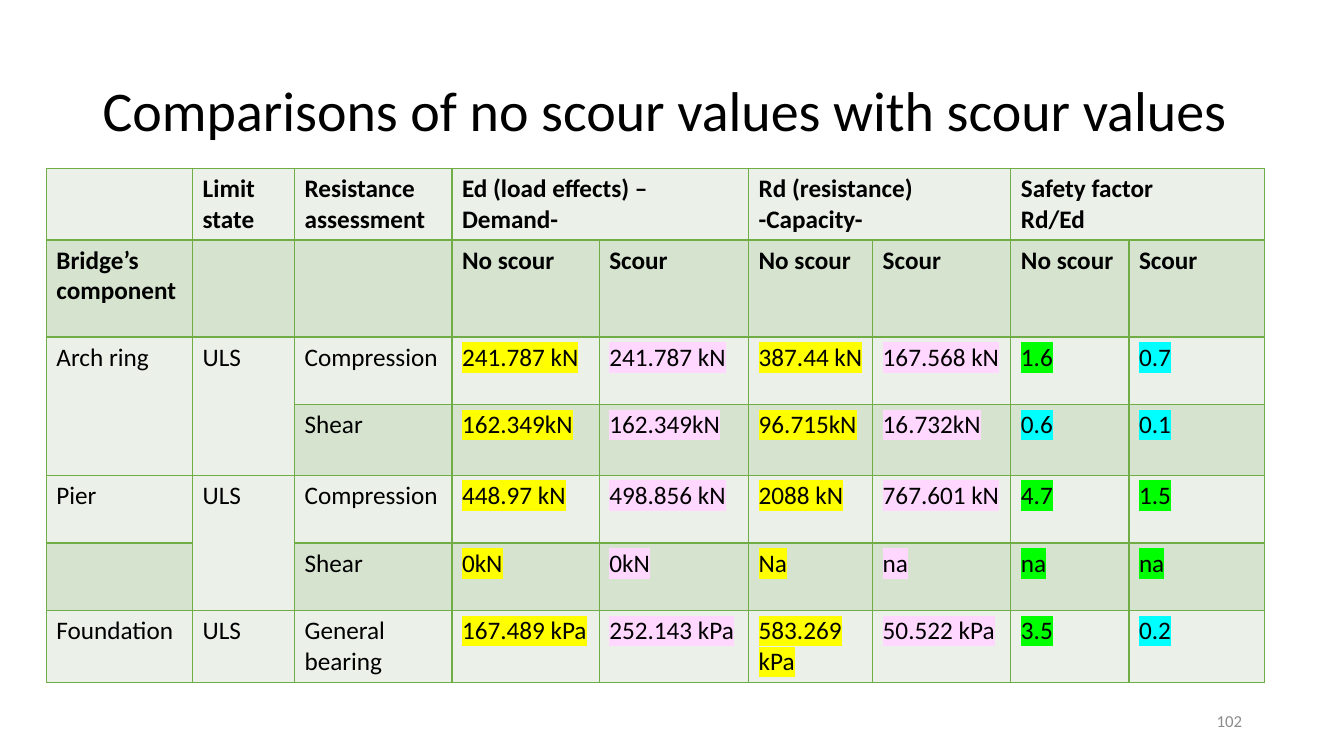
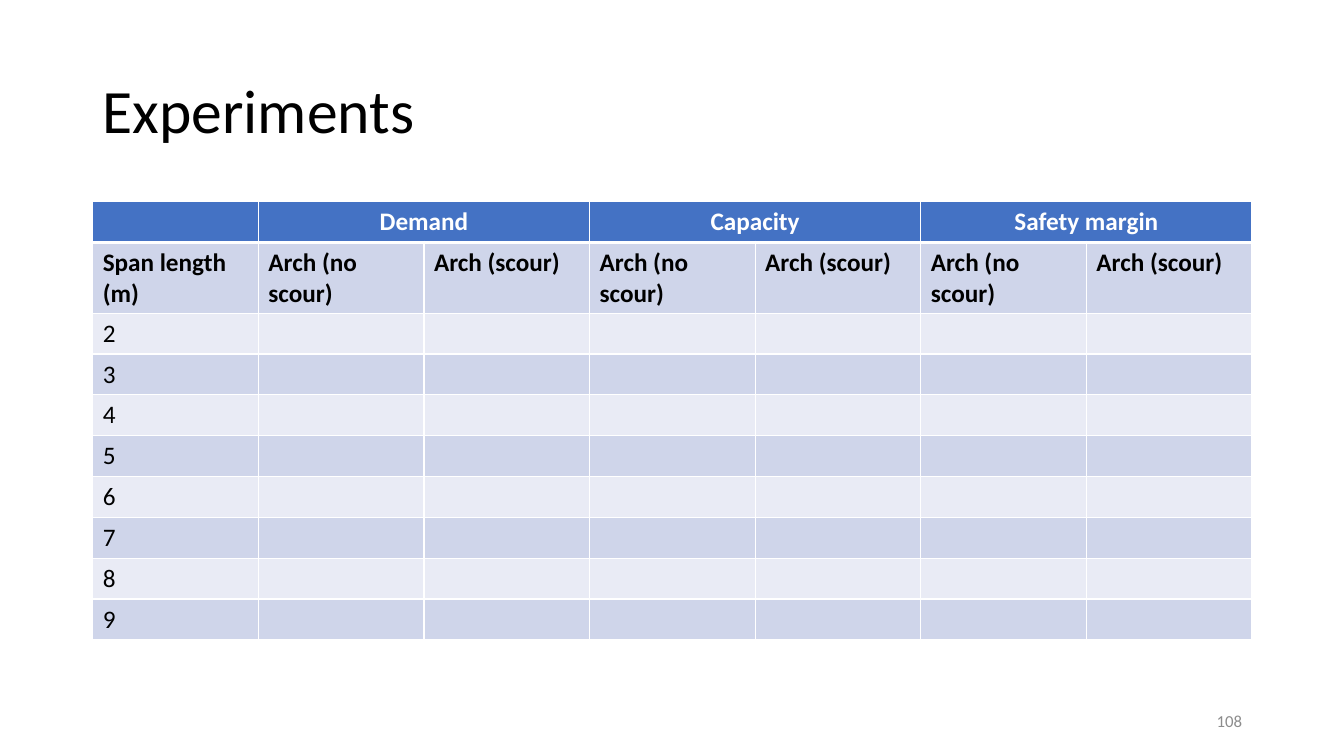
"""Build two slides that tabulate bridge demand, capacity and safety."""
import dataclasses
import pptx
import pptx.dml.color
import pptx.enum.text
import pptx.oxml
import pptx.oxml.ns
import pptx.util

ALIGN = pptx.enum.text.PP_ALIGN
ANCHOR = pptx.enum.text.MSO_ANCHOR


@dataclasses.dataclass(frozen=True)
class Theme:
    font: str = "Calibri"
    ink: str = "000000"
    white: str = "FFFFFF"
    gray: str = "8C8C8C"
    green: str = "70AD47"
    leaf: tuple = ("EBF1E9", "D5E3CF")
    blue: str = "4472C4"
    sky: tuple = ("E9EBF5", "CFD5EA")
    yellow: str = "FFFF00"
    pink: str = "FFD7FF"
    safe: str = "00FF00"
    fail: str = "00FFFF"
    head: int = 44
    small: int = 40
    body: int = 18
    foot: int = 12
    thin: int = 1
    thick: int = 3


THEME = Theme()
WIDE, HIGH = pptx.util.Inches(13.33), pptx.util.Inches(7.5)
TITLE = (6.9, 5.33, 86.27, 19.33)
FOOT = (70.67, 92.67, 22.5, 5.33)

SCOUR = [
    ["", "Limit state", "Resistance assessment", "Ed (load effects) –Demand-", "",
     "Rd (resistance) -Capacity-", "", "Safety factor\nRd/Ed", ""],
    ["Bridge’s component", "", ""] + ["No scour", "Scour"] * 3,
    ["Arch ring", "ULS", "Compression", "241.787 kN", "241.787 kN",
     "387.44 kN", "167.568 kN", "1.6", "0.7"],
    ["", "", "Shear", "162.349kN", "162.349kN", "96.715kN", "16.732kN", "0.6", "0.1"],
    ["Pier", "ULS", "Compression", "448.97 kN", "498.856 kN",
     "2088 kN", "767.601 kN", "4.7", "1.5"],
    ["", "", "Shear", "0kN", "0kN", "Na", "na", "na", "na"],
    ["Foundation", "ULS", "General bearing", "167.489 kPa", "252.143 kPa",
     "583.269 kPa", "50.522 kPa", "3.5", "0.2"],
]
SPANS = [
    ["", "Demand", "", "Capacity", "", "Safety margin", ""],
    ["Span length (m)"] + ["Arch (no scour)", "Arch (scour)"] * 3,
] + [[str(span)] + [""] * 6 for span in range(2, 10)]


def put(item, form):
    for name, value in form.items():
        setattr(item, name, value)


def rgb(code):
    return pptx.dml.color.RGBColor.from_string(code)


def place(box):
    left, top, width, height = box
    return [int(full * part / 100)
            for full, part in zip((WIDE, HIGH, WIDE, HIGH), (left, top, width, height))]


def split(total, parts):
    return [int(total * part / sum(parts)) for part in parts]


def mark(run, code):
    tag = pptx.oxml.parse_xml(
        f'<a:highlight {pptx.oxml.ns.nsdecls("a")}><a:srgbClr val="{code}"/></a:highlight>')
    run.font.fill
    run._r.get_or_add_rPr().find(pptx.oxml.ns.qn("a:latin")).addprevious(tag)


def write(frame, text, size, ink, bold=False, tint=None, **form):
    frame.text = text
    for para in frame.paragraphs:
        put(para, form)
        for run in para.runs:
            put(run.font, {"name": THEME.font, "size": pptx.util.Pt(size), "bold": bold})
            put(run.font.color, {"rgb": rgb(ink)})
            if tint:
                mark(run, tint)


def label(slide, box, text, size, ink, **form):
    frame = slide.shapes.add_textbox(*place(box)).text_frame
    put(frame, {"word_wrap": True, "vertical_anchor": ANCHOR.MIDDLE})
    write(frame, text, size, ink, **form)


def edge(cell, code, top, base):
    sides = {"L": THEME.thin, "R": THEME.thin, "T": top, "B": base}
    for spot, (side, width) in enumerate(sides.items()):
        line = pptx.oxml.parse_xml(
            f'<a:ln{side} {pptx.oxml.ns.nsdecls("a")} w="{pptx.util.Pt(width)}">'
            f'<a:solidFill><a:srgbClr val="{code}"/></a:solidFill></a:ln{side}>')
        cell._tc.get_or_add_tcPr().insert(spot, line)


def table(slide, box, data, cols, rows, joins, style):
    left, top, width, height = place(box)
    grid = slide.shapes.add_table(len(rows), len(cols), left, top, width, height).table
    put(grid, {"first_row": False, "horz_banding": False})
    for col, size in zip(grid.columns, split(width, cols)):
        col.width = size
    for row, size in zip(grid.rows, split(height, rows)):
        row.height = size
    for first, last in joins:
        grid.cell(*first).merge(grid.cell(*last))
    for y, line in enumerate(data):
        for x, text in enumerate(line):
            cell = grid.cell(y, x)
            look = style(y, x, text)
            cell.fill.solid()
            put(cell.fill.fore_color, {"rgb": rgb(look["fill"])})
            edge(cell, *look["edge"])
            if text:
                write(cell.text_frame, text, THEME.body, **look["text"])


def rate(text):
    return THEME.safe if text == "na" or float(text) >= 1 else THEME.fail


def leaf(y, x, text):
    tint = None
    if y > 1 and x > 2 and text:
        tint = rate(text) if x > 6 else (THEME.pink, THEME.yellow)[x % 2]
    return {"fill": THEME.leaf[y % 2], "edge": (THEME.green, THEME.thin, THEME.thin),
            "text": {"ink": THEME.ink, "bold": y < 2, "tint": tint}}


def sky(y, x, text):
    top = y == 0
    return {"fill": THEME.blue if top else THEME.sky[y % 2],
            "edge": (THEME.white, THEME.thick if y == 1 else THEME.thin,
                     THEME.thick if top else THEME.thin),
            "text": {"ink": THEME.white if top else THEME.ink, "bold": y < 2,
                     "alignment": ALIGN.CENTER if top else ALIGN.LEFT}}


def page(deck, title, size, number):
    slide = deck.slides.add_slide(deck.slide_layouts[6])
    label(slide, TITLE, title, size, THEME.ink, line_spacing=0.9)
    label(slide, FOOT, number, THEME.foot, THEME.gray, alignment=ALIGN.RIGHT)
    return slide


def pairs(start, count):
    return [((0, x), (0, x + 1)) for x in range(start, start + 2 * count, 2)]


def main():
    deck = pptx.Presentation()
    put(deck, {"slide_width": WIDE, "slide_height": HIGH})
    slide = page(deck, "Comparisons of no scour values with scour values", THEME.small, "102")
    joins = pairs(3, 3) + [((2, 0), (3, 0)), ((2, 1), (3, 1)), ((4, 1), (5, 1))]
    table(slide, (3.45, 22.27, 90.62, 68), SCOUR,
          [1.45, 1.01, 1.56, 1.46, 1.48, 1.23, 1.37, 1.17, 1.34],
          [0.71, 0.96, 0.67, 0.7, 0.67, 0.67, 0.71], joins, leaf)
    slide = page(deck, "Experiments", THEME.head, "108")
    table(slide, (6.9, 26.67, 86.27, 58), SPANS, [1] * 7,
          [4.05, 7] + [4.05] * 8, pairs(1, 3), sky)
    deck.save("out.pptx")


if __name__ == "__main__":
    main()
